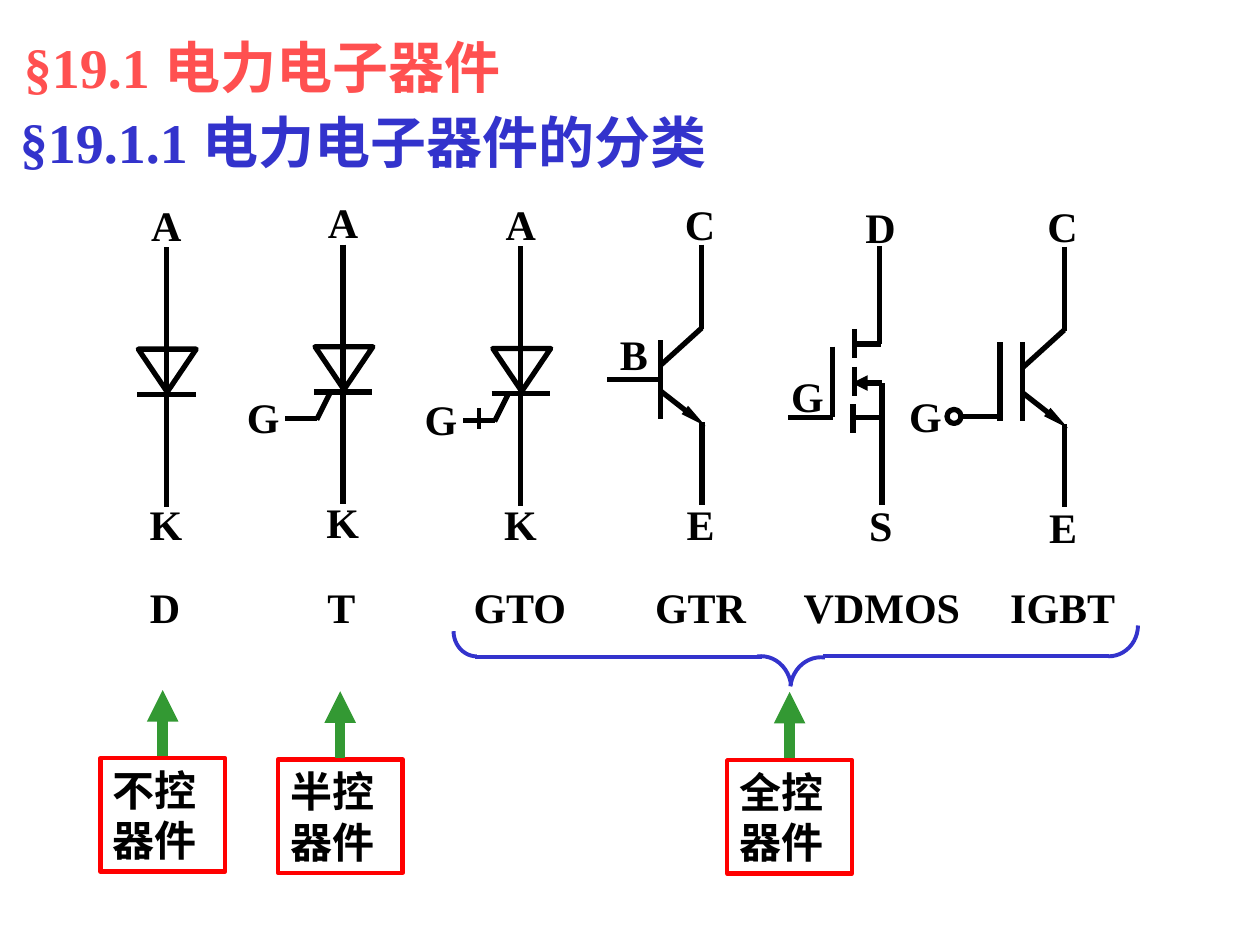
import pptx
import pptx.util
import pptx.dml.color
import pptx.enum.shapes
import pptx.enum.text
import pptx.oxml
import pptx.oxml.ns

Pt = pptx.util.Pt
SHAPE = pptx.enum.shapes.MSO_SHAPE
FONT = "Times New Roman"
COLORS = {"title": "FF5050", "blue": "3333CC", "ink": "000000",
          "frame": "FF0000", "arrow": "339933"}
LABEL_HEIGHT = 36

TITLE = "§19.1 电力电子器件"
SUBTITLE = "§19.1.1 电力电子器件的分类"

# Symbol parts are measured from the top of each symbol's main line.
# wires: x1, y1, x2, y2; labels: text, left, top, width
DIODE = {
    "wires": [(-16.6, 84.2, 16.8, 84.2), (0, 0, 0, 148.3)],
    "labels": [("A", -15.7, -31, 31), ("K", -16.6, 140.4, 31)],
    "triangle": (-16, 58.3, 33.1, 24.5),
}
GATE = {
    "wires": [(-7.5, 85, -15, 100), (-15, 99.4, -33.2, 99.4)],
    "labels": [("G", -62, 80.5, 31)],
}
TURN_OFF = {"ticks": [(-23.8, 92.3, -23.8, 104.5)]}
BIPOLAR = {
    "wires": [(0, 54.7, 0, 99.4), (0, 69.1, 23.7, 47.6),
              (23.9, 101.5, 23.9, 149), (23.7, 0, 23.7, 48.2)],
    "emitter": [(0, 83.5, 25.9, 103.7)],
    "labels": [("C", 7, -29.7, 41), ("E", 8, 141.8, 41)],
}
BASE = {
    "wires": [(-0.7, 77, -30.2, 77)],
    "labels": [("B", -30.2, 44.6, 41)],
}
INSULATED_GATE = {
    "wires": [(-13, 97.2, -35.3, 97.2), (-13, 54.7, -13, 99.4)],
    "labels": [("G", -72, 78.5, 41)],
    "circle": (-43.2, 93, 8, 8),
}
VDMOS = {
    "wires": [(-26.7, 57.6, -26.7, 98), (-26.7, 98, -52.6, 98),
              (-14.4, 56.2, 0.7, 56.2), (-15.1, 98, 0.7, 98),
              (-15.1, 90.7, -15.1, 107.3), (-14.4, 47.5, -14.4, 64.1),
              (-14.4, 69.1, -14.4, 85.7), (1.4, 78.5, 1.4, 148.3),
              (0, 56.2, 0, 0)],
    "channel": [(1.4, 78.5, -15.8, 78.5)],
    "labels": [("G", -57.6, 67.7, 32.4), ("S", -13, 141.8, 29.5),
               ("D", -15.1, -28.8, 33.1)],
}
# origin x, origin y, symbol parts
DEVICES = [
    (95, 141.2, [DIODE]),
    (196, 139.8, [DIODE, GATE]),
    (297.6, 140.8, [DIODE, GATE, TURN_OFF]),
    (377.3, 139.8, [BIPOLAR, BASE]),
    (502.6, 140.4, [VDMOS]),
    (584.4, 141, [BIPOLAR, INSULATED_GATE]),
]
NAMES_TOP = 328.8
NAMES = [("D", 78.5, 36.7), ("T", 180, 36.7), ("GTO", 263.5, 73.4),
         ("GTR", 367.2, 73.4), ("VDMOS", 452.2, 113), ("IGBT", 570.2, 82.1)]

BRACE_LINES = [(271.4, 375.5, 435.6, 375.5), (470.2, 375.1, 633.6, 375.1)]
# left, top, width, height, start and end in degrees clockwise from the right
BRACE_ARCS = [
    (259.2, 346.3, 26.6, 28.8, 90, 180),
    (417.6, 375, 34.6, 38.2, 263, 352),
    (451.5, 375.6, 35.3, 38.2, 188, 277),
    (616.5, 339.8, 33.8, 35.3, 0, 90),
]
# text, centre, top
CLASSES = [("不控器件", 93, 433.3), ("半控器件", 194.4, 434), ("全控器件", 451.2, 434.4)]
CLASS_WIDTH, CLASS_HEIGHT, ARROW_LENGTH = 71.3, 64.8, 38


def color(name):
    return pptx.dml.color.RGBColor.from_string(COLORS[name])


def points(*values):
    return [Pt(value) for value in values]


def write(shape, text, size=24, ink="ink"):
    frame = shape.text_frame
    frame.word_wrap = True
    frame.auto_size = pptx.enum.text.MSO_AUTO_SIZE.NONE
    frame.vertical_anchor = pptx.enum.text.MSO_ANCHOR.TOP
    frame.margin_left = frame.margin_right = Pt(7.2)
    frame.margin_top = frame.margin_bottom = Pt(3.6)
    para = frame.paragraphs[0]
    para.alignment = pptx.enum.text.PP_ALIGN.LEFT
    para.space_before = Pt(0)
    span = para.add_run()
    span.text = text
    span.font.name, span.font.size, span.font.bold = FONT, Pt(size), True
    span.font.color.rgb = color(ink)


def add_label(shapes, text, left, top, width, height=LABEL_HEIGHT, **style):
    write(shapes.add_textbox(*points(left, top, width, height)), text, **style)


def add_line(shapes, ends, weight=3, ink="ink", head=None):
    """Draw a straight line; head is the (width, length) of an arrow at its end."""
    line = shapes.add_connector(pptx.enum.shapes.MSO_CONNECTOR.STRAIGHT, *points(*ends))
    line.line.width = Pt(weight)
    line.line.color.rgb = color(ink)
    if head:
        tail = pptx.oxml.ns.qn("a:tailEnd")
        line.line._get_or_add_ln().append(
            pptx.oxml.parse_xml(
                f'<a:tailEnd {pptx.oxml.ns.nsdecls("a")} type="triangle"'
                f' w="{head[0]}" len="{head[1]}"/>'))
    line._element.spPr.append(
        pptx.oxml.parse_xml(f'<a:effectLst {pptx.oxml.ns.nsdecls("a")}/>'))


def add_outline(shapes, kind, place, weight=3, ink="ink"):
    shape = shapes.add_shape(kind, *points(*place))
    shape.shadow.inherit = False
    shape.fill.background()
    shape.line.width = Pt(weight)
    shape.line.color.rgb = color(ink)
    return shape


def add_symbol(shapes, x, y, part):
    for kind, weight, head in [("wires", 3, None), ("ticks", 2.25, None),
                               ("emitter", 3, ("sm", "lg")),
                               ("channel", 3, ("med", "med"))]:
        for x1, y1, x2, y2 in part.get(kind, []):
            add_line(shapes, (x + x1, y + y1, x + x2, y + y2), weight, head=head)
    for kind, preset, turn in [("triangle", SHAPE.ISOSCELES_TRIANGLE, 180),
                               ("circle", SHAPE.OVAL, 0)]:
        if kind in part:
            left, top, width, height = part[kind]
            shape = add_outline(shapes, preset, (x + left, y + top, width, height))
            shape.rotation = turn
    for text, left, top, width in part.get("labels", []):
        add_label(shapes, text, x + left, y + top, width)


def main():
    deck = pptx.Presentation()
    deck.slide_width, deck.slide_height = points(720, 540)
    page = deck.slides.add_slide(deck.slide_layouts[5])
    title = page.shapes.title
    title.left, title.top, title.width, title.height = points(6.5, 15.1, 319.7, 46)
    write(title, TITLE, size=32, ink="title")
    add_label(page.shapes, SUBTITLE, 4.3, 57.6, 431.3, 46, size=32, ink="blue")

    for x, y, parts in DEVICES:
        group = page.shapes.add_group_shape()
        for part in parts:
            add_symbol(group.shapes, x, y, part)
    for text, left, width in NAMES:
        add_label(page.shapes, text, left, NAMES_TOP, width)

    brace = page.shapes.add_group_shape().shapes
    for ends in BRACE_LINES:
        add_line(brace, ends, 2.25, "blue")
    for *place, start, end in BRACE_ARCS:
        arc = add_outline(brace, SHAPE.ARC, place, 2.25, "blue")
        # Angles are stored in 60000ths of a degree, adjustments in 100000ths.
        arc.adjustments[0], arc.adjustments[1] = start * 0.6, end * 0.6

    for text, center, top in CLASSES:
        place = (center - CLASS_WIDTH / 2, top, CLASS_WIDTH, CLASS_HEIGHT)
        write(add_outline(page.shapes, SHAPE.RECTANGLE, place, 2.5, "frame"), text)
        add_line(page.shapes, (center, top - 1, center, top - 1 - ARROW_LENGTH),
                 6, "arrow", ("med", "med"))
    deck.save("out.pptx")


if __name__ == "__main__":
    main()
